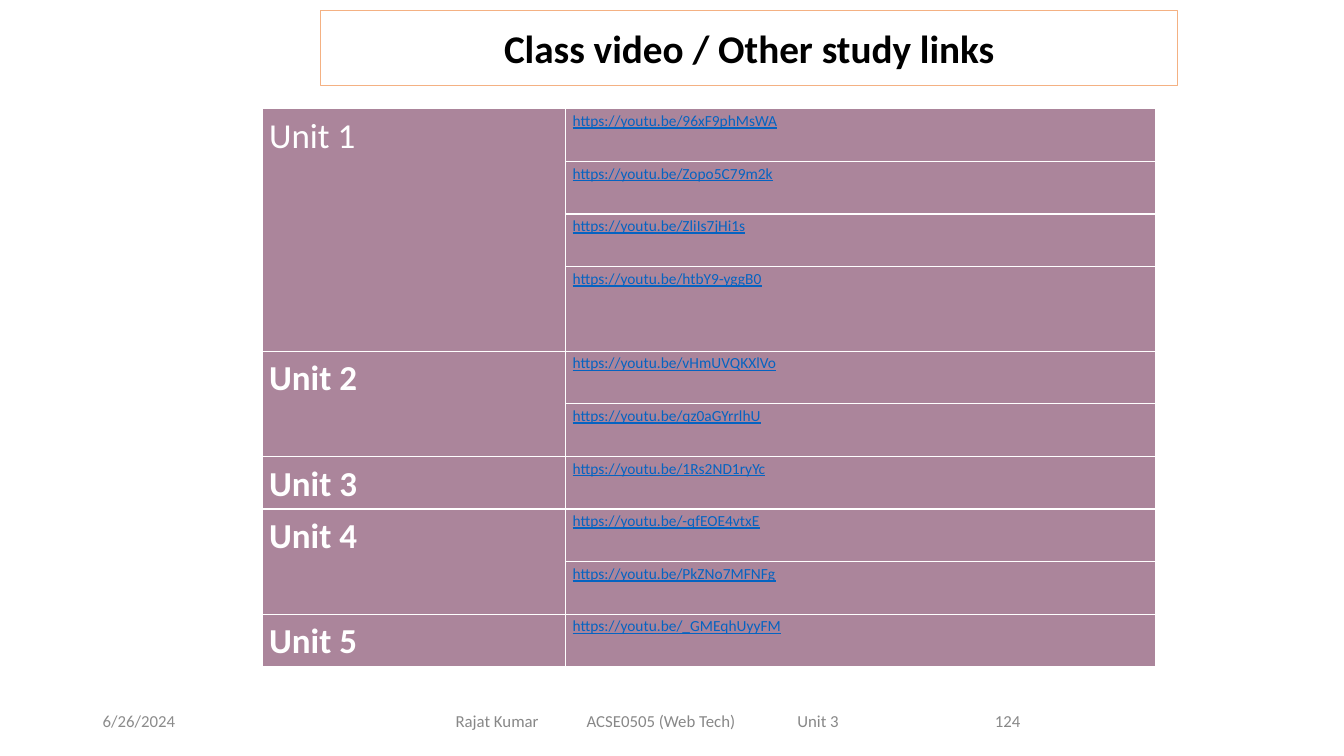
from dataclasses import dataclass

from lxml.etree import SubElement
from pptx import Presentation
from pptx.dml.color import RGBColor
from pptx.enum.text import MSO_ANCHOR, MSO_AUTO_SIZE, PP_ALIGN
from pptx.oxml.ns import qn
from pptx.util import Inches, Pt


@dataclass(frozen=True)
class Theme:
    """Hold the colours, font and type sizes of the slide."""

    font: str = "Calibri"
    ink: str = "000000"
    paper: str = "FFFFFF"
    footer: str = "888888"
    date: str = "8C8C8C"
    frame: str = "F4B183"
    cell: str = "AB859B"
    link: str = "0563C1"
    title_size: float = 28
    unit_size: float = 25
    footer_size: float = 12
    link_size: float = 11


UNITS = [
    ("Unit 1", [
        "https://youtu.be/96xF9phMsWA",
        "https://youtu.be/Zopo5C79m2k",
        "https://youtu.be/ZliIs7jHi1s",
        "https://youtu.be/htbY9-yggB0",
    ]),
    ("Unit 2", ["https://youtu.be/vHmUVQKXlVo", "https://youtu.be/qz0aGYrrlhU"]),
    ("Unit 3", ["https://youtu.be/1Rs2ND1ryYc"]),
    ("Unit 4", ["https://youtu.be/-qfEOE4vtxE", "https://youtu.be/PkZNo7MFNFg"]),
    ("Unit 5", ["https://youtu.be/_GMEqhUyyFM"]),
]
ROW_HEIGHT = 5.22
TALL_ROW, TALL_HEIGHT = 3, 8.4


def grid(steps):
    """Turn steps of a tenth-inch grid into a length."""
    return Inches(steps / 10)


def write(frame, text, *, font, size, color, bold=False, underline=False,
          align=PP_ALIGN.LEFT, spacing=None, after=None, tabs=()):
    """Write formatted text into the first paragraph of a text frame."""
    para = frame.paragraphs[0]
    para.alignment = align
    if spacing:
        para.line_spacing = spacing
    if after:
        para.space_after = Pt(after)
    if tabs:
        stops = SubElement(para._p.get_or_add_pPr(), qn("a:tabLst"))
        for stop in tabs:
            SubElement(stops, qn("a:tab"), pos=str(grid(stop)), algn="l")
    span = para.add_run()
    span.text = text
    span.font.name = font
    span.font.size = Pt(size)
    span.font.bold = bold
    span.font.underline = underline
    span.font.color.rgb = RGBColor.from_string(color)


class StudyLinksSlide:
    """Build the study links slide in one style."""

    def __init__(self, deck, theme):
        """Add a title-only slide to the deck."""
        self.theme = theme
        self.page = deck.slides.add_slide(deck.slide_layouts[5])

    def title(self, text, place):
        """Place the framed title."""
        box = self.page.shapes.title
        box.left, box.top, box.width, box.height = map(grid, place)
        box.line.color.rgb = RGBColor.from_string(self.theme.frame)
        box.line.width = Pt(0.5)
        frame = box.text_frame
        frame.auto_size = MSO_AUTO_SIZE.NONE
        frame.vertical_anchor = MSO_ANCHOR.MIDDLE
        write(frame, text, font=self.theme.font, size=self.theme.title_size,
              color=self.theme.ink, bold=True, align=PP_ALIGN.CENTER)

    def footer(self, text, place, **options):
        """Place one part of the footer line."""
        frame = self.page.shapes.add_textbox(*map(grid, place)).text_frame
        frame.word_wrap = True
        frame.vertical_anchor = MSO_ANCHOR.MIDDLE
        style = {"color": self.theme.footer} | options
        write(frame, text, font=self.theme.font, size=self.theme.footer_size, **style)

    def style_cell(self, cell):
        """Give a cell its margins, borders and fill."""
        cell.margin_left = cell.margin_right = grid(0.7)
        cell.margin_top = cell.margin_bottom = 0
        properties = cell._tc.get_or_add_tcPr()
        for side in "LRTB":
            line = SubElement(properties, qn(f"a:ln{side}"), w=str(Pt(1)))
            fill = SubElement(line, qn("a:solidFill"))
            SubElement(fill, qn("a:srgbClr"), val=self.theme.paper)
        cell.fill.solid()
        cell.fill.fore_color.rgb = RGBColor.from_string(self.theme.cell)

    def links_table(self, units, left, top, widths):
        """Place the table with one merged unit cell per group of links."""
        count = sum(len(links) for _, links in units)
        table = self.page.shapes.add_table(
            count, len(widths), grid(left), grid(top),
            grid(sum(widths)), grid(count * ROW_HEIGHT)).table
        table.first_row = table.horz_banding = False
        for column, width in zip(table.columns, widths):
            column.width = grid(width)
        for index, row in enumerate(table.rows):
            row.height = grid(TALL_HEIGHT if index == TALL_ROW else ROW_HEIGHT)
            for cell in row.cells:
                self.style_cell(cell)
        common = {"font": self.theme.font, "spacing": 1.15, "after": 10}
        start = 0
        for name, links in units:
            unit = table.cell(start, 0)
            if len(links) > 1:
                unit.merge(table.cell(start + len(links) - 1, 0))
            write(unit.text_frame, name, size=self.theme.unit_size,
                  color=self.theme.paper, bold=start > 0, **common)
            for index, link in enumerate(links, start):
                write(table.cell(index, 1).text_frame, link, size=self.theme.link_size,
                      color=self.theme.link, underline=True, **common)
            start += len(links)


def main():
    """Build and save the deck."""
    deck = Presentation()
    deck.slide_width, deck.slide_height = Inches(13.33), Inches(7.5)
    slide = StudyLinksSlide(deck, Theme())
    slide.footer("Rajat Kumar\tACSE0505 (Web Tech)\tUnit 3", (44.2, 69.5, 55, 4),
                 tabs=(13, 33.9))
    slide.footer("124", (88.3, 69.5, 23.3, 4), align=PP_ALIGN.CENTER)
    slide.title("Class video / Other study links", (31.8, 1, 85, 7.5))
    slide.links_table(UNITS, 26, 10.8, (30.1, 58.5))
    slide.footer("6/26/2024", (9.2, 69.5, 30, 4), color=slide.theme.date)
    deck.save("out.pptx")


if __name__ == "__main__":
    main()
